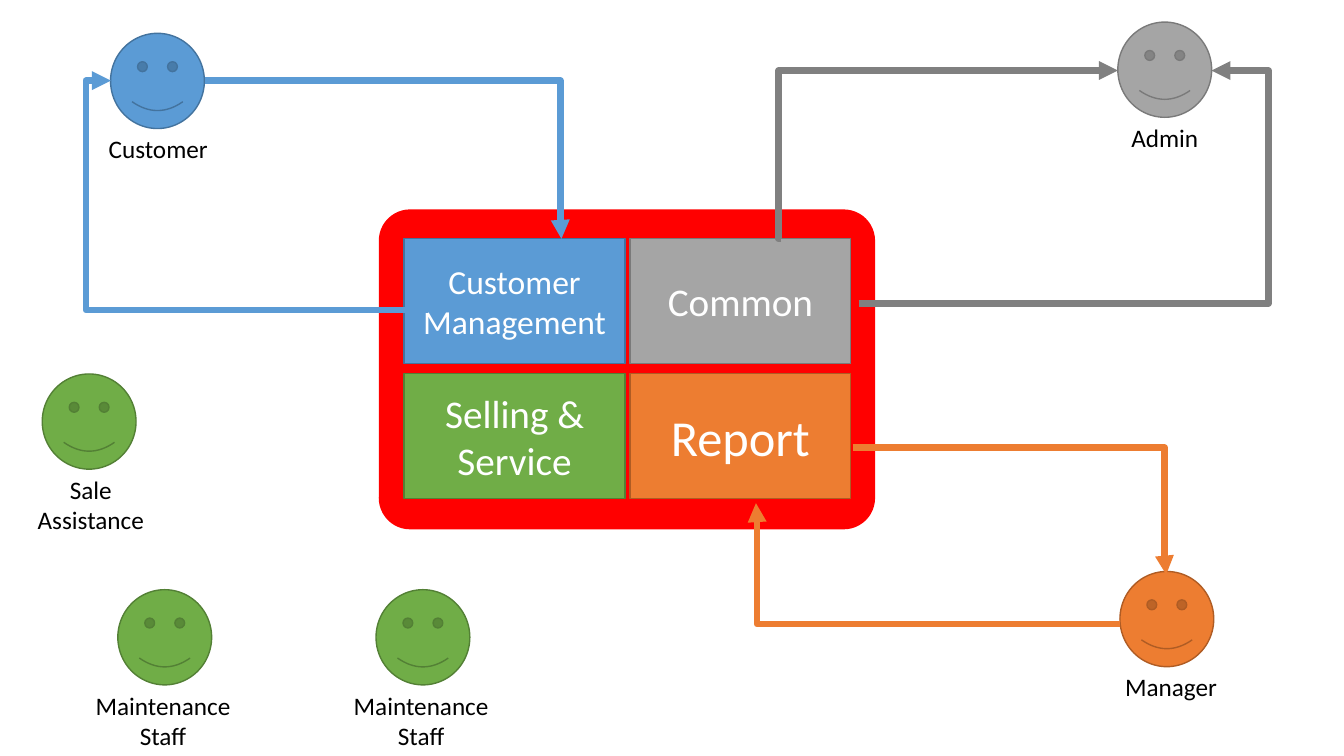
from lxml import etree
from pptx import Presentation
from pptx.dml.color import RGBColor
from pptx.enum.shapes import MSO_CONNECTOR, MSO_SHAPE
from pptx.enum.text import MSO_ANCHOR, MSO_AUTO_SIZE, PP_ALIGN
from pptx.oxml.ns import qn
from pptx.util import Pt

ROUND = MSO_SHAPE.ROUNDED_RECTANGLE
RECT = MSO_SHAPE.RECTANGLE
SMILE = MSO_SHAPE.SMILEY_FACE
ELBOW = MSO_CONNECTOR.ELBOW
MIDDLE = MSO_ANCHOR.MIDDLE
CENTER = PP_ALIGN.CENTER
GROW = MSO_AUTO_SIZE.SHAPE_TO_FIT_TEXT

FONT = "Calibri"
RED, WHITE, BLACK, STEEL = "FF0000", "FFFFFF", "000000", "808080"
BLUE = ("5B9BD5", "43739E")
GRAY = ("A5A5A5", "7A7A7A")
ORANGE = ("ED7D31", "AF5C24")
GREEN = ("70AD47", "538035")
FACE_W, FACE_H = 67, 68

# (lines, size, colours, column, row)
MODULES = [
    (["Customer", "Management"], 24, BLUE, 0, 0),
    (["Common"], 28, GRAY, 1, 0),
    (["Report"], 36, ORANGE, 1, 1),
    (["Selling & Service"], 28, GREEN, 0, 1),
]

# (lines, colours, face left, face top, label shift, label width, label height)
ACTORS = [
    (["Customer"], BLUE, 79, 23.8, -11, 90, 29),
    (["Admin"], GRAY, 798.5, 15.8, 0, 67, 29),
    (["Manager"], ORANGE, 800, 408.2, -11.6, 96, 29),
    (["Sale Assistance"], GREEN, 30.2, 267.1, -10.8, 91, 51),
    (["Maintenance", "Staff"], GREEN, 84.2, 421.2, -33.8, 132, 51),
    (["Maintenance", "Staff"], GREEN, 268.6, 421.2, -33.8, 132, 51),
]

# (start, end with arrowhead, x of the upright part, colour)
FLOWS = [
    ((146.2, 57.6), (401, 170.6), 400.3, BLUE[0]),
    ((306, 221.4), (79.2, 57.6), 61.2, BLUE[0]),
    ((609.1, 319.7), (833, 410.4), 831.9, ORANGE[0]),
    ((799.9, 445.9), (540, 359.5), 540.8, ORANGE[0]),
    ((558, 170.6), (798.5, 50.4), 556, STEEL),
    ((613.4, 216.7), (865.4, 50.4), 906.3, STEEL),
]


def rgb(code):
    """Turn a hex string into a colour."""
    return RGBColor.from_string(code)


def add_box(parent, kind, box, fill, edge, width=1):
    """Add a flat preset shape in a (left, top, width, height) box."""
    shape = parent.shapes.add_shape(kind, *map(Pt, box))
    shape.shadow.inherit = False
    shape.fill.solid()
    shape.fill.fore_color.rgb = rgb(fill)
    shape.line.color.rgb = rgb(edge)
    shape.line.width = Pt(width)
    return shape


def write(shape, lines, size, color):
    """Write centred lines, one paragraph each."""
    frame = shape.text_frame
    frame.word_wrap = True
    for i, line in enumerate(lines):
        para = frame.add_paragraph() if i else frame.paragraphs[0]
        para.alignment = CENTER
        run = para.add_run()
        run.text = line
        run.font.name = FONT
        run.font.size = Pt(size)
        run.font.color.rgb = rgb(color)
    return frame


def add_board(slide, left, top, width, height):
    """Draw the red board with its two by two grid of modules."""
    group = slide.shapes.add_group_shape()
    base = add_box(group, ROUND, (left, top, width, height), RED, RED, 6)
    base.adjustments[0] = 0.087
    cell_w, cell_h, gap_x, gap_y = 157.7, 89.3, 3.6, 6.8
    pad_x, pad_y = 15.1, 18
    for lines, size, (fill, edge), col, row in MODULES:
        x = left + pad_x + col * (cell_w + gap_x)
        y = top + pad_y + row * (cell_h + gap_y)
        cell = add_box(group, RECT, (x, y, cell_w, cell_h), fill, edge)
        write(cell, lines, size, WHITE).vertical_anchor = MIDDLE


def add_actor(slide, lines, colors, left, top, shift, width, height):
    """Draw a face with its label right below."""
    group = slide.shapes.add_group_shape()
    add_box(group, SMILE, (left, top, FACE_W, FACE_H), *colors)
    spot = (left + shift, top + FACE_H, width, height)
    label = group.shapes.add_textbox(*map(Pt, spot))
    write(label, lines, 18, BLACK).auto_size = GROW


def add_flow(slide, start, end, bend, color):
    """Draw an elbow arrow whose upright part stands at x = bend."""
    link = slide.shapes.add_connector(ELBOW, *map(Pt, start + end))
    link.line.color.rgb = rgb(color)
    link.line.width = Pt(4.5)
    props = link._element.spPr
    ratio = (bend - start[0]) / (end[0] - start[0])
    guides = props.find(qn("a:prstGeom")).get_or_add_avLst()
    etree.SubElement(guides, qn("a:gd"), name="adj1",
                     fmla=f"val {round(ratio * 100000)}")
    etree.SubElement(props.find(qn("a:ln")), qn("a:tailEnd"), type="triangle")
    etree.SubElement(props, qn("a:effectLst"))


def main():
    """Build and save the slide."""
    deck = Presentation()
    deck.slide_width, deck.slide_height = Pt(960), Pt(540)
    slide = deck.slides.add_slide(deck.slide_layouts[6])
    add_board(slide, 273.6, 152.6, 348.5, 222.5)
    for actor in ACTORS:
        add_actor(slide, *actor)
    for flow in FLOWS:
        add_flow(slide, *flow)
    deck.save("out.pptx")


main()
